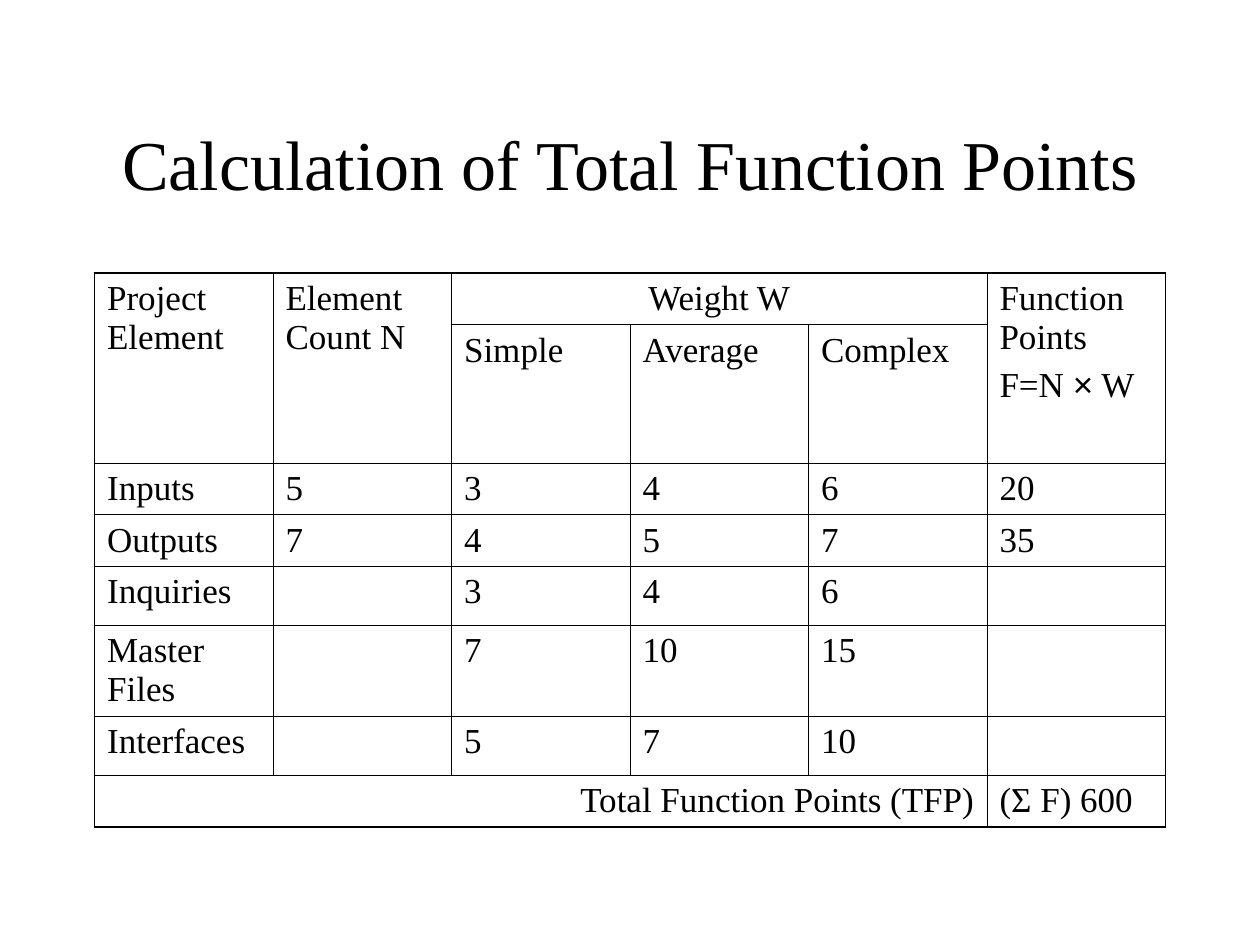
"""Build the slide on calculating total function points."""
from lxml.etree import SubElement
from pptx import Presentation
from pptx.dml.color import RGBColor
from pptx.enum.text import MSO_ANCHOR as Anchor, MSO_AUTO_SIZE as AutoSize, PP_ALIGN as Align
from pptx.oxml.ns import qn
from pptx.util import Pt

BLACK = RGBColor(0, 0, 0)
SERIF, SANS = "Times New Roman", "Arial"
LEFT, WIDTH = 54, 612
INNER_LINE, OUTER_LINE = 0.45, 1.08

ROWS = [
    ["Project Element", "Element Count N", "Weight W", "", "",
     "Function Points\nF=N × W"],
    ["", "", "Simple", "Average", "Complex", ""],
    ["Inputs", "5", "3", "4", "6", "20"],
    ["Outputs", "7", "4", "5", "7", "35"],
    ["Inquiries", "", "3", "4", "6", ""],
    ["Master Files", "", "7", "10", "15", ""],
    ["Interfaces", "", "5", "7", "10", ""],
    ["Total Function Points (TFP)", "", "", "", "", "(Σ F) 600"],
]
HEIGHTS = [29.5, 78.75, 29.5, 29.5, 33.75, 52, 33.75, 29.5]
MERGES = [((0, 0), (1, 0)), ((0, 1), (1, 1)), ((0, 2), (0, 4)),
          ((0, 5), (1, 5)), ((7, 0), (7, 4))]
ALIGNMENTS = {(0, 2): Align.CENTER, (7, 0): Align.RIGHT}


class FunctionPointSlide:
    """Holds the text style and the slide being filled."""

    def __init__(self, deck):
        self.slide = deck.slides.add_slide(deck.slide_layouts[5])

    def style(self, paragraph, size, alignment):
        """Apply the common font and the given alignment."""
        paragraph.alignment = alignment
        font = paragraph.font
        font.name, font.size, font.color.rgb = SERIF, Pt(size), BLACK

    def title(self, text, top, height):
        """Move, fill and format the title placeholder."""
        heading = self.slide.shapes.title
        heading.left, heading.top = Pt(LEFT), Pt(top)
        heading.width, heading.height = Pt(WIDTH), Pt(height)
        frame = heading.text_frame
        frame.text = text
        frame.auto_size = AutoSize.NONE
        frame.vertical_anchor = Anchor.MIDDLE
        self.style(frame.paragraphs[0], 40, Align.CENTER)

    def borders(self, cell, outer_edges):
        """Draw four cell borders, heavier on the table's outer edges."""
        properties = cell._tc.get_or_add_tcPr()
        for position, edge in enumerate("LRTB"):
            weight = OUTER_LINE if edge in outer_edges else INNER_LINE
            line = properties.makeelement(qn(f"a:ln{edge}"), {"w": str(Pt(weight))})
            properties.insert(position, line)
            fill = SubElement(line, qn("a:solidFill"))
            SubElement(fill, qn("a:srgbClr"), val=str(BLACK))

    def cell_text(self, cell, text, alignment):
        """Fill a cell, setting the multiplication sign in the sans font."""
        frame = cell.text_frame
        for index, wording in enumerate(text.split("\n")):
            paragraph = frame.add_paragraph() if index else frame.paragraphs[0]
            if index:
                paragraph.space_before = Pt(5)
            before, sign, after = wording.partition("×")
            for part in filter(None, (before, sign, after)):
                run = paragraph.add_run()
                run.text = part
                if part == "×":
                    run.font.name = SANS
            self.style(paragraph, 20, alignment)

    def table(self, top):
        """Add the table of weights with its merged headings."""
        last_row, last_column = len(ROWS) - 1, len(ROWS[0]) - 1
        weights = self.slide.shapes.add_table(
            len(ROWS), len(ROWS[0]), Pt(LEFT), Pt(top), Pt(WIDTH), Pt(sum(HEIGHTS))).table
        weights.first_row = weights.horz_banding = False
        for row, (height, texts) in enumerate(zip(HEIGHTS, ROWS)):
            weights.rows[row].height = Pt(height)
            for column, text in enumerate(texts):
                cell = weights.cell(row, column)
                cell.fill.background()
                self.cell_text(cell, text, ALIGNMENTS.get((row, column), Align.LEFT))
                edges = {"L": column == 0, "R": column == last_column,
                         "T": row == 0, "B": row == last_row}
                self.borders(cell, [edge for edge, outer in edges.items() if outer])
        for first, last in MERGES:
            weights.cell(*first).merge(weights.cell(*last))


def main():
    """Build and save the deck."""
    deck = Presentation()
    deck.slide_width, deck.slide_height = Pt(720), Pt(540)
    page = FunctionPointSlide(deck)
    page.title("Calculation of Total Function Points", 48, 90)
    page.table(156)
    deck.save("out.pptx")


if __name__ == "__main__":
    main()
